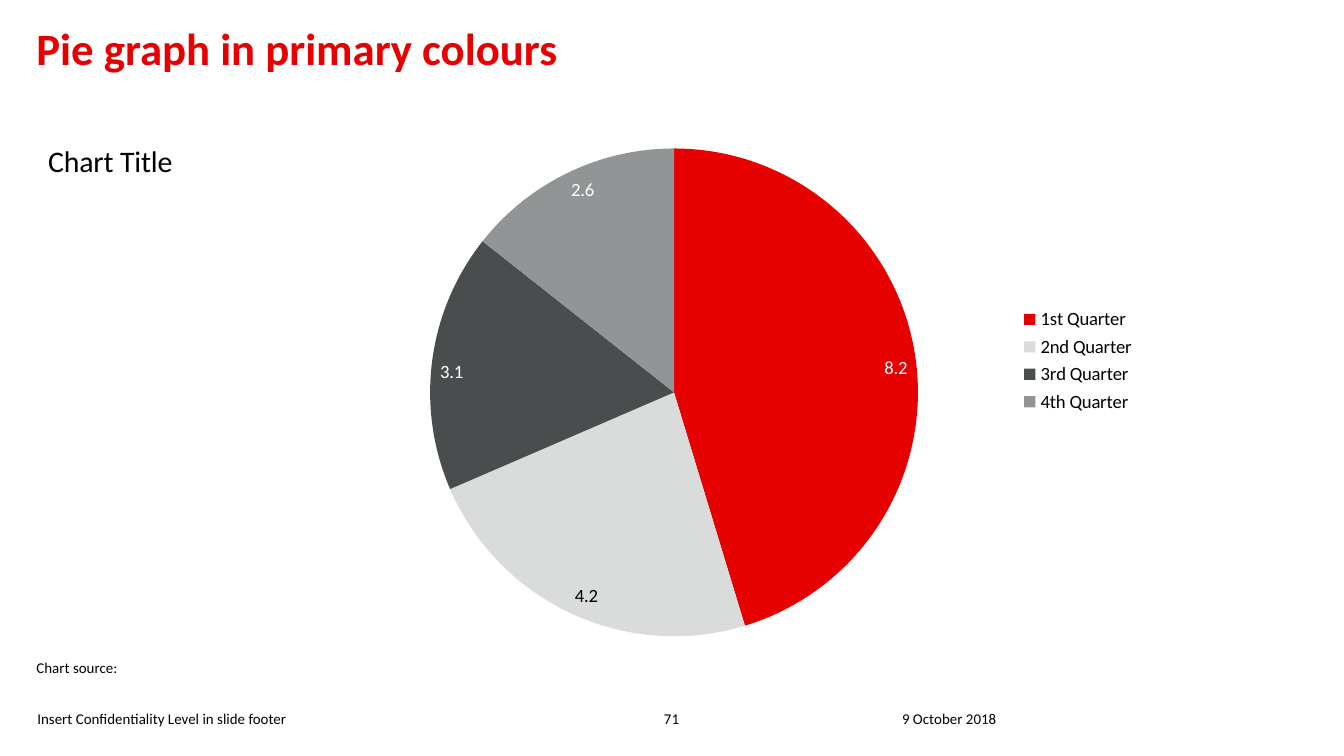
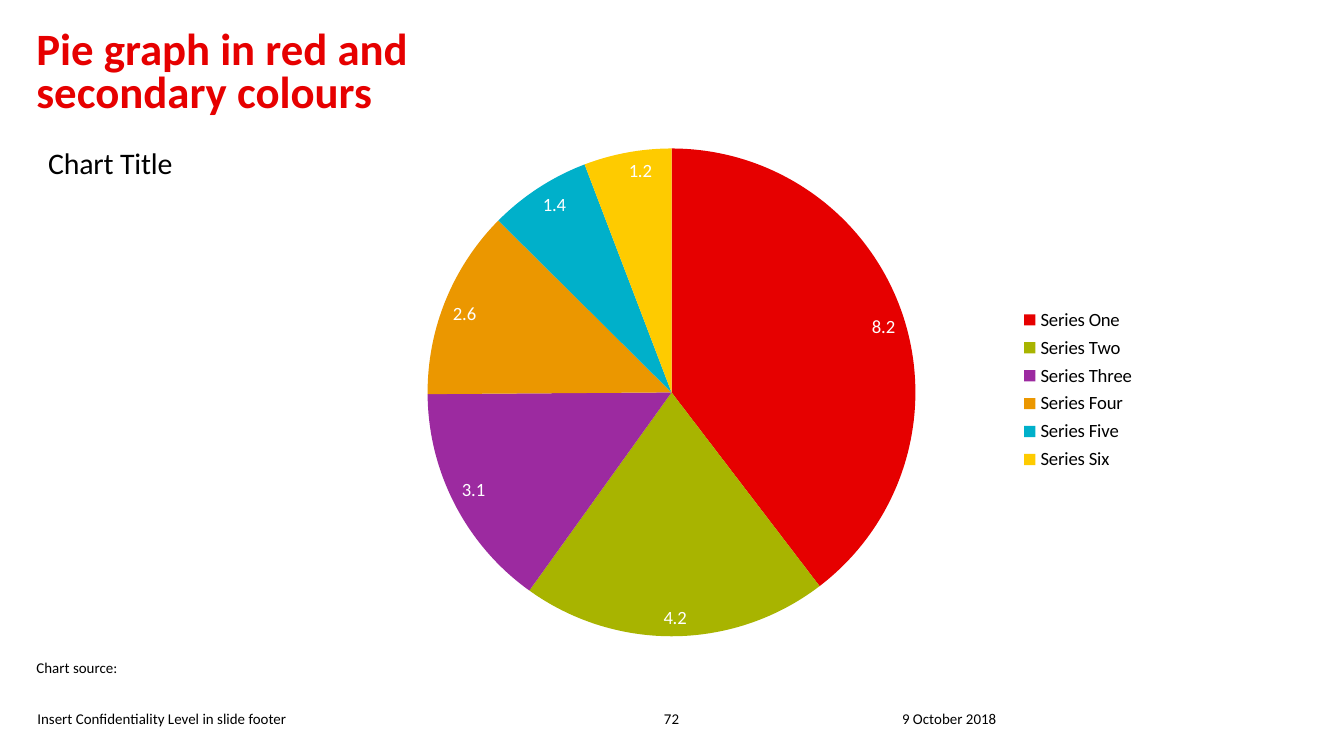
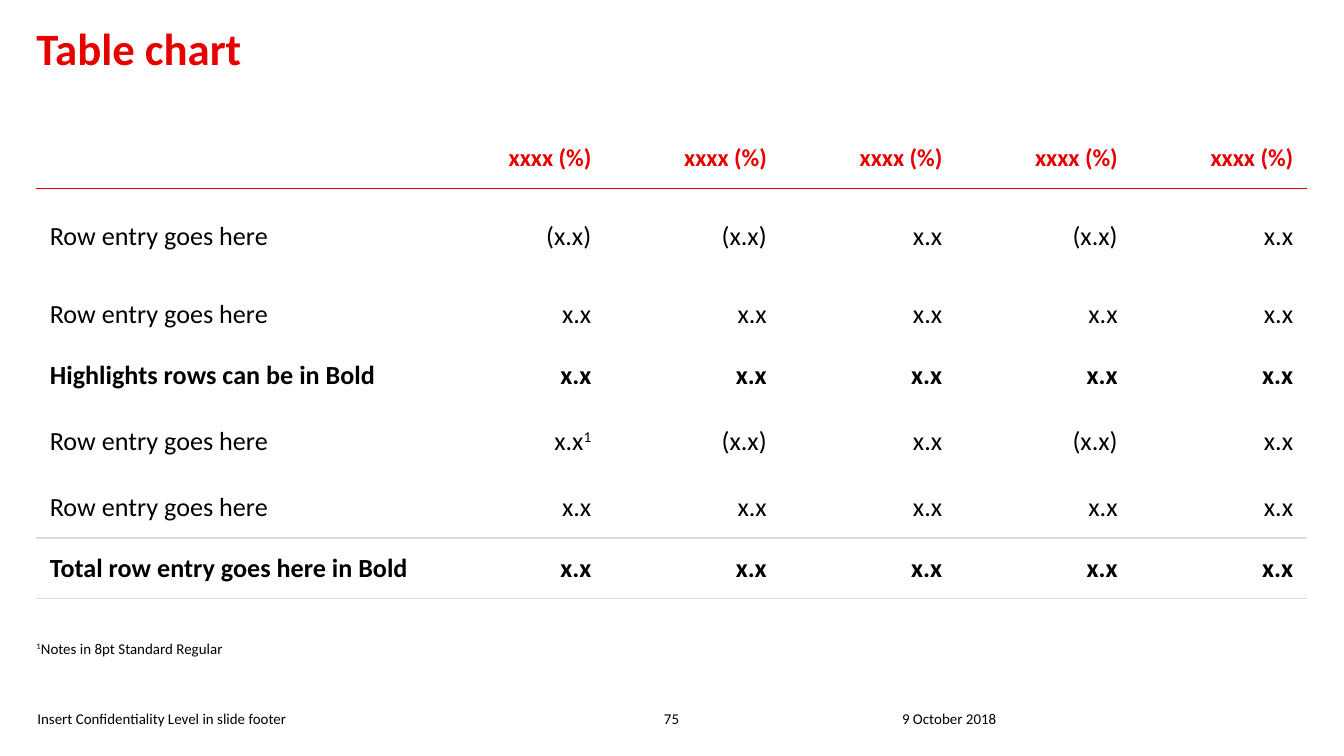
from dataclasses import dataclass

from lxml import etree
from pptx import Presentation
from pptx.chart.data import CategoryChartData
from pptx.dml.color import RGBColor
from pptx.enum.chart import XL_CHART_TYPE, XL_LABEL_POSITION, XL_LEGEND_POSITION
from pptx.enum.text import MSO_ANCHOR, MSO_AUTO_SIZE, PP_ALIGN
from pptx.oxml.ns import qn
from pptx.util import Pt

PIE = XL_CHART_TYPE.PIE
IN_END = XL_LABEL_POSITION.INSIDE_END
AT_RIGHT = XL_LEGEND_POSITION.RIGHT
TOP, MIDDLE, BOTTOM = MSO_ANCHOR.TOP, MSO_ANCHOR.MIDDLE, MSO_ANCHOR.BOTTOM
LEFT, CENTER, RIGHT = PP_ALIGN.LEFT, PP_ALIGN.CENTER, PP_ALIGN.RIGHT
NO_FIT = MSO_AUTO_SIZE.NONE

RED = RGBColor(0xE6, 0x00, 0x00)
BLACK = RGBColor(0x00, 0x00, 0x00)
WHITE = RGBColor(0xFF, 0xFF, 0xFF)
PALE = RGBColor(0xDA, 0xDC, 0xDC)
DARK = RGBColor(0x4A, 0x4D, 0x4E)
GREY = RGBColor(0x91, 0x95, 0x96)
GREEN = RGBColor(0xA8, 0xB4, 0x00)
PURPLE = RGBColor(0x9C, 0x2A, 0xA0)
ORANGE = RGBColor(0xEB, 0x97, 0x00)
BLUE = RGBColor(0x00, 0xB0, 0xCA)
YELLOW = RGBColor(0xFE, 0xCB, 0x00)

FONT = "Calibri"
EDGE, BODY_TOP, BODY_WIDE = 19.5, 68.5, 680.5
INDENT = 7.2


@dataclass
class Box:
    left: float
    top: float
    width: float
    height: float

    def lengths(self):
        return Pt(self.left), Pt(self.top), Pt(self.width), Pt(self.height)


@dataclass
class Slice:
    name: str
    value: float
    fill: RGBColor
    label: RGBColor = WHITE


@dataclass
class Row:
    cells: list[str]
    height: float = 32.4
    size: float = 14
    ink: RGBColor = BLACK
    bold: bool = False
    rule: RGBColor = WHITE


TITLE_BOX = Box(EDGE, 16.5, 515, 52.5)
CHART_BOX = Box(EDGE, BODY_TOP, BODY_WIDE, 283.5)
SOURCE_BOX = Box(EDGE, 353, 283.5, 20.5)
NOTE_BOX = Box(EDGE, 331, 283.5, 21)
FOOT_BOX = Box(20, 371, 164, 18.5)
PAGE_BOX = Box(343.5, 371, 32.5, 18.5)
DATE_BOX = Box(483.25, 371, 168, 18.5)

GREYS = [
    Slice("1st Quarter", 8.2, RED),
    Slice("2nd Quarter", 4.2, PALE, BLACK),
    Slice("3rd Quarter", 3.1, DARK),
    Slice("4th Quarter", 2.6, GREY),
]
BRIGHTS = [
    Slice("Series One", 8.2, RED),
    Slice("Series Two", 4.2, GREEN),
    Slice("Series Three", 3.1, PURPLE),
    Slice("Series Four", 2.6, ORANGE),
    Slice("Series Five", 1.4, BLUE),
    Slice("Series Six", 1.2, YELLOW),
]

ENTRY = "Row entry goes here"
PLAIN = ["x.x"] * 5
MIXED = ["(x.x)", "x.x", "(x.x)", "x.x"]
# A caret marks the superscript that follows it.
ROWS = [
    Row([""] + ["xxxx (%)"] * 5, size=13, ink=RED, bold=True, rule=RED),
    Row([ENTRY, "(x.x)"] + MIXED, height=51.5),
    Row([ENTRY] + PLAIN),
    Row(["Highlights rows can be in Bold"] + PLAIN, bold=True),
    Row([ENTRY, "x.x^1"] + MIXED, height=38.6),
    Row([ENTRY] + PLAIN, rule=PALE),
    Row(["Total row entry goes here in Bold"] + PLAIN, bold=True, rule=PALE),
]
COLUMNS = [210.5] + [94] * 5


def style(font, size: float, ink: RGBColor, bold: bool = False) -> None:
    font.name, font.size, font.bold = FONT, Pt(size), bold
    font.color.rgb = ink


def add_run(para, text: str, size: float, ink: RGBColor = BLACK,
            bold: bool = False, raised: bool = False) -> None:
    run = para.add_run()
    run.text = text
    style(run.font, size, ink, bold)
    if raised:
        run._r.get_or_add_rPr().set("baseline", "30000")


def set_frame(frame, anchor) -> None:
    frame.margin_left = frame.margin_right = 0
    frame.margin_top = frame.margin_bottom = 0
    frame.word_wrap = True
    frame.auto_size = NO_FIT
    frame.vertical_anchor = anchor


def add_text(slide, box: Box, text: str, anchor=BOTTOM, align=LEFT):
    """Add a small text box and return its paragraph."""
    frame = slide.shapes.add_textbox(*box.lengths()).text_frame
    set_frame(frame, anchor)
    para = frame.paragraphs[0]
    para.alignment = align
    if text:
        add_run(para, text, 8)
    return para


def hang(para) -> None:
    props = para._p.get_or_add_pPr()
    props.set("marL", str(Pt(INDENT)))
    props.set("indent", str(Pt(-INDENT)))


def add_slide(deck, lines: list[str], page: int):
    """Add a slide with its title and footer."""
    slide = deck.slides.add_slide(deck.slide_layouts[5])
    title = slide.shapes.title
    title.left, title.top, title.width, title.height = TITLE_BOX.lengths()
    set_frame(title.text_frame, TOP)
    para = title.text_frame.paragraphs[0]
    para.alignment = LEFT
    para.line_spacing = 0.8
    for index, line in enumerate(lines):
        if index:
            para.add_line_break()
        add_run(para, line, 24, RED, True)
    add_text(slide, DATE_BOX, "9 October 2018")
    add_text(slide, FOOT_BOX, "Insert Confidentiality Level in slide footer")
    add_text(slide, PAGE_BOX, str(page), align=CENTER)
    return slide


def place(part, index: int, inner: bool = False, **sizes: float) -> None:
    """Give a chart part a manual layout, as shares of the chart."""
    for old in part.findall(qn("c:layout")):
        part.remove(old)
    layout = etree.Element(qn("c:layout"))
    manual = etree.SubElement(layout, qn("c:manualLayout"))
    marks = {"layoutTarget": "inner"} if inner else {}
    marks |= {"xMode": "edge", "yMode": "edge"}
    for tag, value in (marks | sizes).items():
        etree.SubElement(manual, qn(f"c:{tag}")).set("val", str(value))
    part.insert(index, layout)


def add_pie(slide, slices: list[Slice], plot_left: float, title_top: float) -> None:
    data = CategoryChartData()
    data.categories = [item.name for item in slices]
    data.add_series("Series 1", [item.value for item in slices])
    chart = slide.shapes.add_chart(PIE, *CHART_BOX.lengths(), data).chart
    style(chart.font, 10, BLACK)

    chart.has_title = True
    add_run(chart.chart_title.text_frame.paragraphs[0], "Chart Title", 16)
    place(chart.chart_title._element, 1, x=0.005, y=title_top)

    chart.has_legend = True
    chart.legend.position = AT_RIGHT
    chart.legend.include_in_layout = False
    place(chart.legend._element, 1, x=0.76, y=0.33, w=0.12, h=0.055 * len(slices))

    place(chart._chartSpace.chart.plotArea, 0, True,
          x=plot_left, y=0.039, w=0.422, h=0.922)

    plot = chart.plots[0]
    plot.vary_by_categories = True
    series = plot.series[0]
    labels = series.data_labels
    labels.show_value = True
    labels.position = IN_END
    style(labels.font, 10, WHITE)
    for index, item in enumerate(slices):
        point = series.points[index]
        point.format.fill.solid()
        point.format.fill.fore_color.rgb = item.fill
        if item.label != WHITE:
            style(point.data_label.font, 10, item.label)
            point.data_label.position = IN_END

    hang(add_text(slide, SOURCE_BOX, "Chart source:", TOP))


def set_edges(cell, above: RGBColor, below: RGBColor) -> None:
    props = cell._tc.get_or_add_tcPr()
    edges = {"lnL": WHITE, "lnR": WHITE, "lnT": above, "lnB": below}
    for tag, ink in edges.items():
        line = etree.SubElement(props, qn(f"a:{tag}"), w=str(Pt(1)))
        fill = etree.SubElement(line, qn("a:solidFill"))
        etree.SubElement(fill, qn("a:srgbClr"), val=str(ink))


def add_grid(slide) -> None:
    height = sum(row.height for row in ROWS)
    box = Box(EDGE, BODY_TOP, sum(COLUMNS), height)
    grid = slide.shapes.add_table(len(ROWS), len(COLUMNS), *box.lengths()).table
    grid.first_row = grid.horz_banding = False
    for column, width in zip(grid.columns, COLUMNS):
        column.width = Pt(width)
    above = WHITE
    for index, row in enumerate(ROWS):
        grid.rows[index].height = Pt(row.height)
        for col, text in enumerate(row.cells):
            cell = grid.cell(index, col)
            set_edges(cell, above, row.rule)
            cell.fill.background()
            cell.vertical_anchor = MIDDLE
            para = cell.text_frame.paragraphs[0]
            para.alignment = RIGHT if col else LEFT
            main, _, mark = text.partition("^")
            if main:
                add_run(para, main, row.size, row.ink, row.bold)
            if mark:
                add_run(para, mark, row.size, row.ink, row.bold, raised=True)
        above = row.rule

    note = add_text(slide, NOTE_BOX, "")
    hang(note)
    add_run(note, "1", 8, raised=True)
    add_run(note, "Notes in 8pt Standard Regular", 8)


def main() -> None:
    deck = Presentation()
    deck.slide_width, deck.slide_height = Pt(720), Pt(405)
    add_pie(add_slide(deck, ["Pie graph in primary colours"], 71), GREYS, 0.291, 0.015)
    add_pie(add_slide(deck, ["Pie graph in red and", "secondary colours"], 72),
            BRIGHTS, 0.289, 0.019)
    add_grid(add_slide(deck, ["Table chart"], 75))
    deck.save("out.pptx")


if __name__ == "__main__":
    main()
